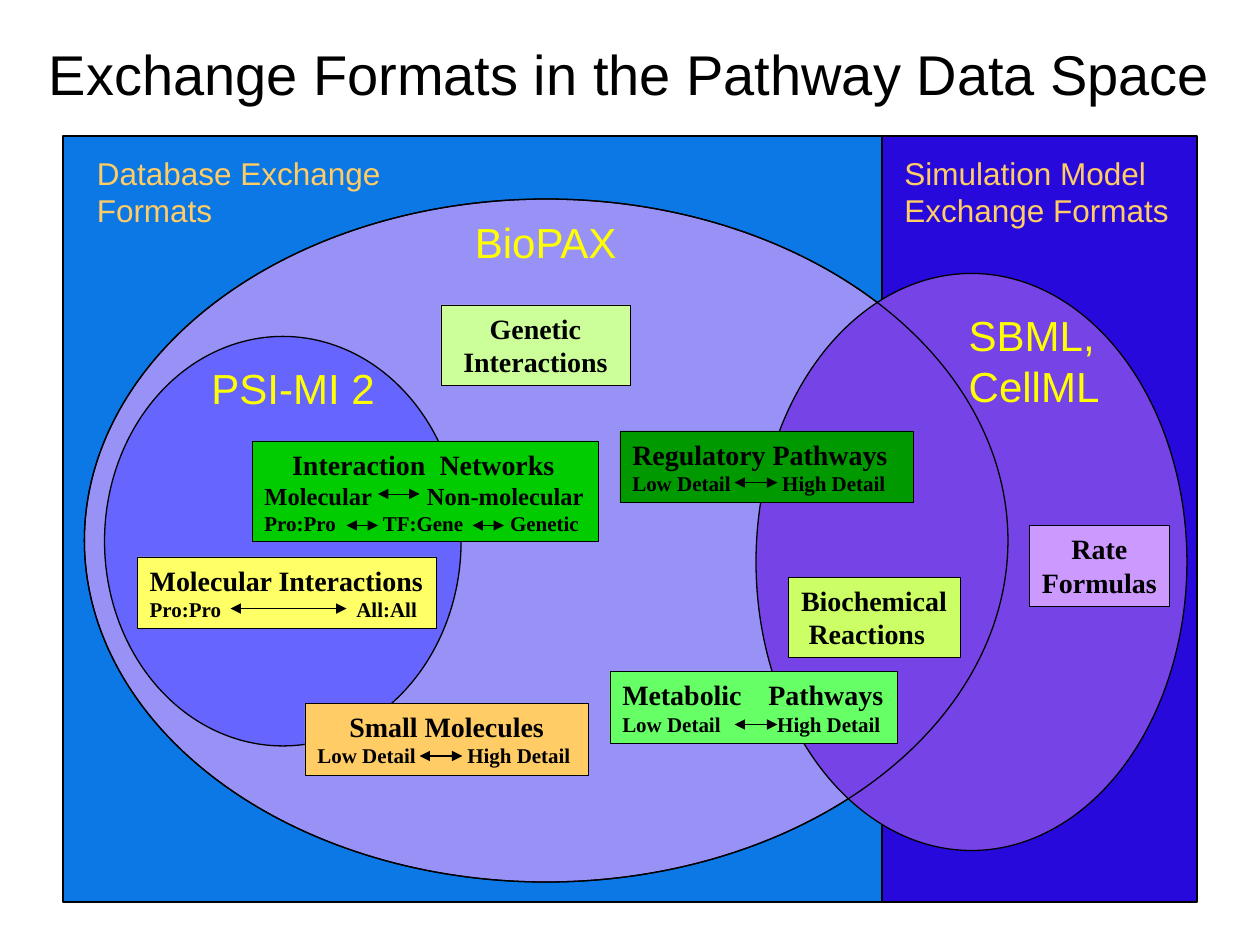
from dataclasses import dataclass

from lxml import etree
from pptx import Presentation
from pptx.dml.color import RGBColor
from pptx.enum.shapes import MSO_CONNECTOR, MSO_SHAPE
from pptx.enum.text import MSO_ANCHOR, PP_ALIGN
from pptx.oxml.ns import qn
from pptx.util import Inches, Pt

RECT, ELLIPSE = MSO_SHAPE.RECTANGLE, MSO_SHAPE.OVAL
LEFT, CENTER = PP_ALIGN.LEFT, PP_ALIGN.CENTER
TOP, MIDDLE = MSO_ANCHOR.TOP, MSO_ANCHOR.MIDDLE
STRAIGHT = MSO_CONNECTOR.STRAIGHT


@dataclass(frozen=True)
class Theme:
    sans: str = "Arial"
    serif: str = "Times New Roman"
    ink: str = "000000"
    format_name: str = "FFFF00"
    region_name: str = "FFCC66"
    title_size: int = 32
    format_size: int = 24
    region_size: int = 18
    topic_size: int = 16
    range_size: int = 14
    detail_size: int = 12
    region_line: float = 0.75
    note_line: float = 0.25


THEME = Theme()


@dataclass(frozen=True)
class Box:
    left: float
    top: float
    width: float
    height: float

    def lengths(self):
        return [Inches(v) for v in (self.left, self.top, self.width, self.height)]


@dataclass(frozen=True)
class Region:
    kind: int
    box: Box
    fill: str | None


@dataclass(frozen=True)
class Line:
    text: str
    size: int = THEME.topic_size
    align: int = LEFT
    tabs: tuple[float, ...] = ()


@dataclass(frozen=True)
class Label:
    box: Box
    lines: tuple[str, ...]
    size: int
    color: str


@dataclass(frozen=True)
class Arrow:
    start: float
    end: float
    y: float
    weight: float = THEME.note_line


@dataclass(frozen=True)
class Note:
    box: Box
    fill: str
    lines: tuple[Line, ...]
    arrows: tuple[Arrow, ...] = ()
    wrap: bool = True


def detail(text: str, *tabs: float) -> Line:
    return Line(text, THEME.detail_size, tabs=tabs)


def write(shape, lines: tuple[Line, ...], font: str, color: str,
          bold: bool = False, wrap: bool = True, anchor: int = TOP) -> None:
    frame = shape.text_frame
    frame.word_wrap = wrap
    frame.vertical_anchor = anchor
    # Left-aligned text may run up to the right edge
    if all(line.align == LEFT for line in lines):
        frame.margin_right = 0
    for i, line in enumerate(lines):
        paragraph = frame.paragraphs[0] if i == 0 else frame.add_paragraph()
        paragraph.text = line.text
        paragraph.alignment = line.align
        if line.tabs:
            stops = etree.SubElement(paragraph._p.get_or_add_pPr(), qn("a:tabLst"))
            for position in line.tabs:
                etree.SubElement(stops, qn("a:tab"), pos=str(Inches(position)), algn="l")
        paragraph.font.name = font
        paragraph.font.size = Pt(line.size)
        paragraph.font.bold = bold
        paragraph.font.color.rgb = RGBColor.from_string(color)


def draw_shape(shapes, kind: int, box: Box, fill: str | None, weight: float):
    shape = shapes.add_shape(kind, *box.lengths())
    shape.shadow.inherit = False
    if fill:
        shape.fill.solid()
        shape.fill.fore_color.rgb = RGBColor.from_string(fill)
    else:
        shape.fill.background()
    shape.line.color.rgb = RGBColor.from_string(THEME.ink)
    shape.line.width = Pt(weight)
    return shape


def draw_label(shapes, label: Label, align: int = LEFT, anchor: int = TOP) -> None:
    lines = tuple(Line(text, label.size, align) for text in label.lines)
    write(shapes.add_textbox(*label.box.lengths()), lines, THEME.sans,
          label.color, anchor=anchor)


def draw_arrow(shapes, arrow: Arrow) -> None:
    y = Inches(arrow.y)
    connector = shapes.add_connector(STRAIGHT, Inches(arrow.start), y, Inches(arrow.end), y)
    connector.line.color.rgb = RGBColor.from_string(THEME.ink)
    connector.line.width = Pt(arrow.weight)
    outline = connector.line._get_or_add_ln()
    for end in ("a:headEnd", "a:tailEnd"):
        etree.SubElement(outline, qn(end), type="triangle")
    etree.SubElement(connector._element.spPr, qn("a:effectLst"))


def draw_note(shapes, note: Note) -> None:
    target = shapes.add_group_shape().shapes if note.arrows else shapes
    shape = draw_shape(target, RECT, note.box, note.fill, THEME.note_line)
    write(shape, note.lines, THEME.serif, THEME.ink, bold=True, wrap=note.wrap)
    for arrow in note.arrows:
        draw_arrow(target, arrow)


TITLE = Label(Box(0.21, 0.08, 9.58, 1), ("Exchange Formats in the Pathway Data Space",),
              THEME.title_size, THEME.ink)

BIOPAX = Box(0.67, 1.58, 7.33, 5.42)
REGIONS = (
    Region(RECT, Box(7, 1.08, 2.5, 6.08), "2709DB"),
    Region(RECT, Box(0.5, 1.08, 6.5, 6.08), "0B78E5"),
    Region(ELLIPSE, BIOPAX, "9992F6"),
    Region(ELLIPSE, Box(0.83, 2.67, 2.83, 3.25), "6666FF"),
    Region(ELLIPSE, Box(6, 2.17, 3.42, 4.58), "7644E6"),
    Region(ELLIPSE, BIOPAX, None),  # outline shown across the overlap
)

LABELS = (
    Label(Box(3.67, 1.67, 1.35, 0.5), ("BioPAX",), THEME.format_size, THEME.format_name),
    Label(Box(1.58, 2.83, 1.49, 0.5), ("PSI-MI 2",), THEME.format_size, THEME.format_name),
    Label(Box(7.59, 2.41, 1.24, 0.9), ("SBML,", "CellML"),
          THEME.format_size, THEME.format_name),
    Label(Box(0.67, 1.17, 2.45, 0.7), ("Database Exchange", "Formats"),
          THEME.region_size, THEME.region_name),
    Label(Box(7.08, 1.17, 2.3, 0.7), ("Simulation Model", "Exchange Formats"),
          THEME.region_size, THEME.region_name),
)

NOTES = (
    Note(Box(3.5, 2.42, 1.5, 0.64), "CCFF99",
         (Line("Genetic", align=CENTER), Line("Interactions", align=CENTER))),
    Note(Box(1.09, 4.42, 2.37, 0.57), "FFFF66",
         (Line("Molecular Interactions"), detail("Pro:Pro\tAll:All", 1.64)),
         (Arrow(1.83, 2.75, 4.83),)),
    Note(Box(2, 3.5, 2.75, 0.8), "00CC00",
         (Line("\tInteraction\tNetworks", tabs=(0.22, 1.39)),
          Line("Molecular\tNon-molecular", THEME.range_size, tabs=(1.29,)),
          detail("Pro:Pro\tTF:Gene\tGenetic", 0.94, 1.95)),
         (Arrow(3, 3.33, 3.92), Arrow(2.75, 3, 4.17), Arrow(3.75, 4, 4.17))),
    Note(Box(4.92, 3.42, 2.33, 0.57), "009900",
         (Line("Regulatory Pathways"), detail("Low Detail\tHigh Detail", 1.19)),
         (Arrow(5.83, 6.17, 3.83),)),
    Note(Box(8.17, 4.17, 1.11, 0.64), "CC99FF",
         (Line("Rate", align=CENTER), Line("Formulas", align=CENTER)), wrap=False),
    Note(Box(4.84, 5.33, 2.28, 0.57), "66FF66",
         (Line("Metabolic\tPathways", tabs=(1.16,)),
          detail("Low Detail\tHigh Detail", 1.23)),
         (Arrow(5.83, 6.17, 5.75),)),
    Note(Box(6.26, 4.58, 1.36, 0.64), "CCFF66",
         (Line("Biochemical"), Line("\tReactions", tabs=(0.06,)))),
    Note(Box(2.42, 5.58, 2.25, 0.57), "FFCC66",
         (Line("Small Molecules", align=CENTER), detail("Low Detail\tHigh Detail", 1.19)),
         (Arrow(3.33, 3.67, 6, THEME.region_line),)),
)


def main() -> None:
    deck = Presentation()
    deck.slide_width, deck.slide_height = Inches(10), Inches(7.5)
    shapes = deck.slides.add_slide(deck.slide_layouts[6]).shapes

    # Title
    draw_label(shapes, TITLE, CENTER, MIDDLE)
    # Data space and format regions
    for region in REGIONS:
        draw_shape(shapes, region.kind, region.box, region.fill, THEME.region_line)
    # Region and format names
    for label in LABELS:
        draw_label(shapes, label)
    # Kinds of pathway data
    for note in NOTES:
        draw_note(shapes, note)

    deck.save("out.pptx")


if __name__ == "__main__":
    main()
